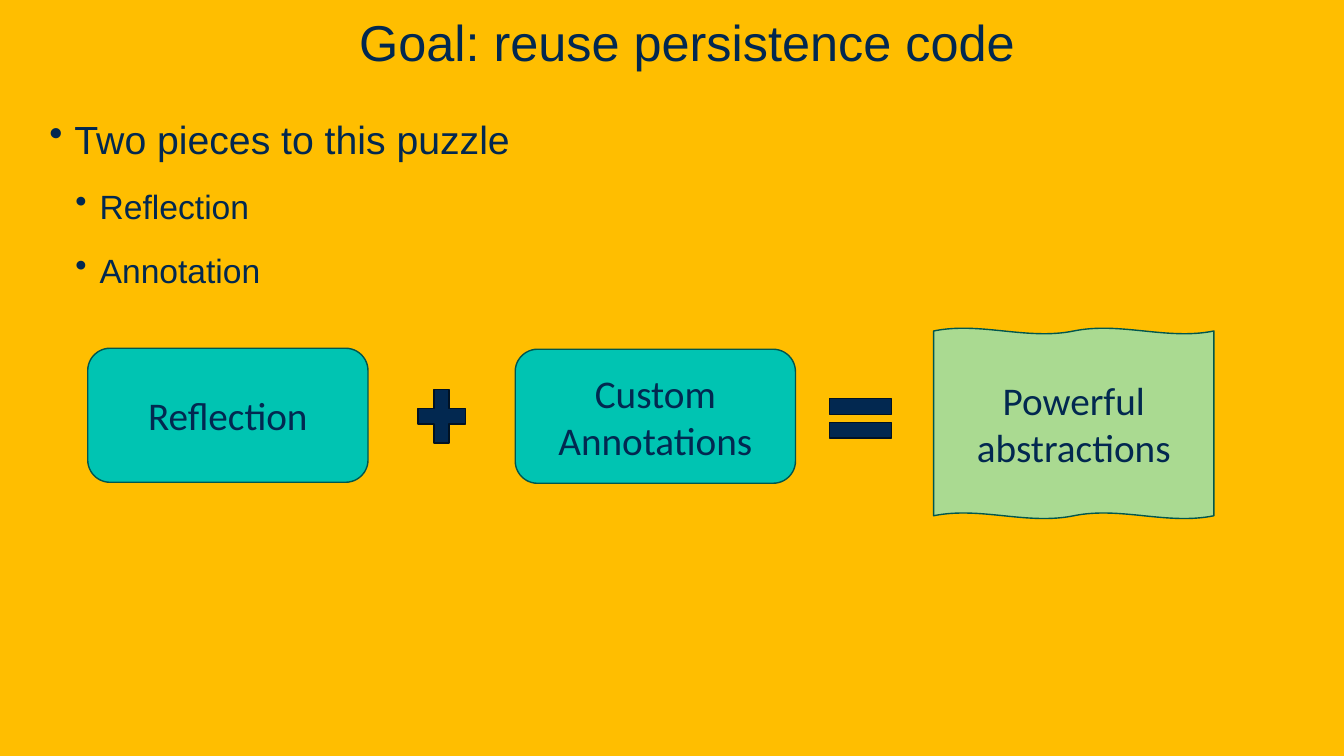
from pptx import Presentation
from pptx.dml.color import RGBColor
from pptx.enum.shapes import MSO_SHAPE as SHAPE
from pptx.enum.text import MSO_ANCHOR as ANCHOR, PP_ALIGN as ALIGN
from pptx.oxml.xmlchemy import OxmlElement
from pptx.util import Inches, Pt

WIDTH, HEIGHT = 13.33, 7.5
NAVY, GOLD, TEAL, GREEN = "022850", "FFBE00", "00C4B2", "AADA91"
DARK_TEAL, DARK_NAVY = "00564E", "011223"

TITLE = "Goal: reuse persistence code"
BULLETS = [(0, "Two pieces to this puzzle"), (1, "Reflection"), (1, "Annotation")]
# level: size, left margin, first-line indent, space before
LEVELS = [(28, 0.25, -0.25, 10), (24, 0.5, -0.24, 5)]

# kind: preset, width, height, fill, line
KINDS = {
    "piece": (SHAPE.ROUNDED_RECTANGLE, 2.78, 1.33, TEAL, DARK_TEAL),
    "plus": (SHAPE.MATH_PLUS, 0.64, 0.72, NAVY, DARK_NAVY),
    "equals": (SHAPE.MATH_EQUAL, 0.83, 0.67, NAVY, DARK_NAVY),
    "result": (SHAPE.DOUBLE_WAVE, 2.78, 1.89, GREEN, DARK_TEAL),
}
# kind, left, vertical middle, text
EQUATION = [
    ("piece", 0.87, 4.12, "Reflection"),
    ("plus", 4.06, 4.13, ""),
    ("piece", 5.11, 4.13, "Custom Annotations"),
    ("equals", 8.12, 4.15, ""),
    ("result", 9.26, 4.2, "Powerful abstractions"),
]


def rgb(value):
    return RGBColor.from_string(value)


def set_text(p, text, size, name="Arial", **formats):
    for key, value in formats.items():
        setattr(p, key, value)
    r = p.add_run()
    r.text = text
    for key, value in {"size": Pt(size), "name": name}.items():
        setattr(r.font, key, value)
    r.font.color.rgb = rgb(NAVY)


def set_indent(p, margin, indent=0):
    pPr = p._p.get_or_add_pPr()
    pPr.set("marL", str(Inches(margin)))
    pPr.set("indent", str(Inches(indent)))
    return pPr


def add_text(slide, *box):
    tf = slide.shapes.add_textbox(*map(Inches, box)).text_frame
    tf.word_wrap = True
    return tf


def add_title(slide):
    tf = add_text(slide, 0, 0, WIDTH, 0.76)
    tf.vertical_anchor = ANCHOR.BOTTOM
    p = tf.paragraphs[0]
    set_indent(p, 0.3)
    set_text(p, TITLE, 36, alignment=ALIGN.CENTER)


def add_bullets(slide):
    tf = add_text(slide, 0.39, 1, 12.52, 5.57)
    for i, (level, text) in enumerate(BULLETS):
        p = tf.paragraphs[0] if i == 0 else tf.add_paragraph()
        size, margin, indent, before = LEVELS[level]
        bullet = OxmlElement("a:buChar")
        bullet.set("char", "•")
        set_indent(p, margin, indent).append(bullet)
        set_text(p, text, size, level=level, line_spacing=1.2,
                 space_before=Pt(before if i else 0), space_after=Pt(6))


def add_equation(slide):
    for kind, left, middle, text in EQUATION:
        preset, width, height, fill, line = KINDS[kind]
        box = left, middle - height / 2, width, height
        sp = slide.shapes.add_shape(preset, *map(Inches, box))
        sp.shadow.inherit = False
        sp.fill.solid()
        sp.fill.fore_color.rgb = rgb(fill)
        sp.line.color.rgb = rgb(line)
        sp.line.width = Pt(1)
        if kind == "result":
            sp.adjustments[0] = 0.015
        if text:
            tf = sp.text_frame
            tf.word_wrap = True
            tf.vertical_anchor = ANCHOR.MIDDLE
            set_text(tf.paragraphs[0], text, 28, "Calibri", alignment=ALIGN.CENTER)


def main():
    prs = Presentation()
    prs.slide_width, prs.slide_height = Inches(WIDTH), Inches(HEIGHT)
    slide = prs.slides.add_slide(prs.slide_layouts[6])
    slide.background.fill.solid()
    slide.background.fill.fore_color.rgb = rgb(GOLD)
    add_bullets(slide)
    add_title(slide)
    add_equation(slide)
    prs.save("out.pptx")


if __name__ == "__main__":
    main()
